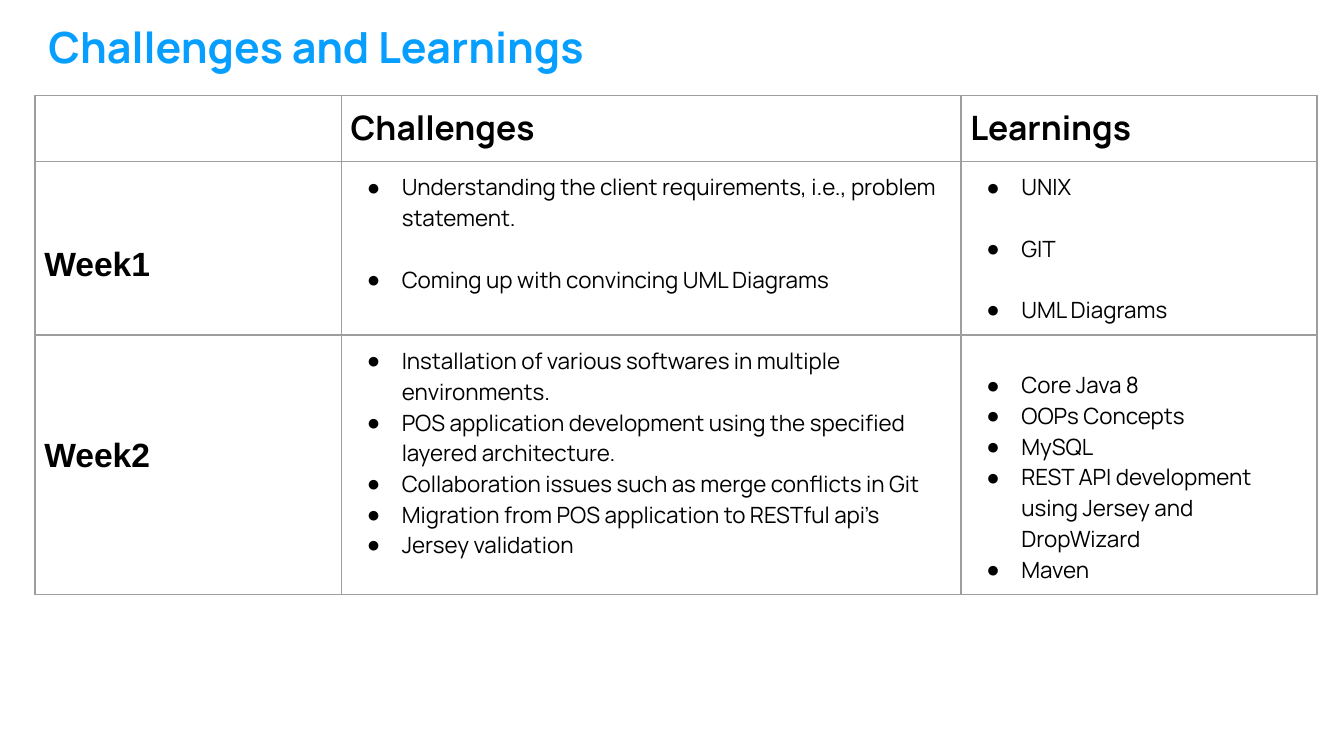
from dataclasses import dataclass

from lxml import etree
from pptx import Presentation
from pptx import util as u
from pptx.dml.color import RGBColor
from pptx.enum import text
from pptx.oxml import ns


@dataclass(frozen=True)
class Theme:
    title_color: str = "079FFF"
    text_color: str = "000000"
    border_color: str = "9E9E9E"
    background: str = "FFFFFF"
    main_font: str = "Manrope"
    label_font: str = "Arial"
    title_size: int = 23
    heading_size: int = 18
    body_size: int = 12
    border_width: float = 0.75
    cell_margin: float = 0.07
    bullet_left: float = 0.38
    bullet_hang: float = 0.26


def add_element(parent, tag, **attributes):
    return etree.SubElement(parent, ns.qn(tag), attributes)


class SlideBuilder:
    def __init__(self, slide, theme):
        self.slide = slide
        self.theme = theme
        fill = slide.background.fill
        fill.solid()
        fill.fore_color.rgb = RGBColor.from_string(theme.background)

    def style(self, paragraph, size, color, font=None, bold=False):
        paragraph.alignment = text.PP_ALIGN.LEFT
        paragraph.font.name = font or self.theme.main_font
        paragraph.font.size = u.Pt(size)
        paragraph.font.bold = bold
        paragraph.font.color.rgb = RGBColor.from_string(color)

    def title(self, words, left, top, width, height):
        shape = self.slide.shapes.title
        shape.left, shape.top = u.Inches(left), u.Inches(top)
        shape.width, shape.height = u.Inches(width), u.Inches(height)
        frame = shape.text_frame
        frame.margin_left = frame.margin_right = 0
        frame.margin_top = frame.margin_bottom = 0
        frame.auto_size = text.MSO_AUTO_SIZE.NONE
        frame.vertical_anchor = text.MSO_ANCHOR.TOP
        frame.text = words
        self.style(frame.paragraphs[0], self.theme.title_size,
                   self.theme.title_color, bold=True)

    def table(self, left, top, columns, rows):
        frame = self.slide.shapes.add_table(
            len(rows), len(columns), u.Inches(left), u.Inches(top),
            u.Inches(sum(columns)), u.Inches(sum(rows)))
        table = frame.table
        table.first_row = table.horz_banding = False
        for column, width in zip(table.columns, columns):
            column.width = u.Inches(width)
        for row, height in zip(table.rows, rows):
            row.height = u.Inches(height)
        for cell in table.iter_cells():
            self.format_cell(cell)
        return table

    def format_cell(self, cell):
        margin = u.Inches(self.theme.cell_margin)
        cell.margin_left = cell.margin_right = margin
        cell.margin_top = cell.margin_bottom = margin
        cell.vertical_anchor = text.MSO_ANCHOR.TOP
        properties = cell._tc.get_or_add_tcPr()
        for side in ("a:lnL", "a:lnR", "a:lnT", "a:lnB"):
            line = add_element(properties, side,
                               w=str(u.Pt(self.theme.border_width)))
            fill = add_element(line, "a:solidFill")
            add_element(fill, "a:srgbClr", val=self.theme.border_color)
        cell.fill.background()

    def heading(self, cell, words, font=None, top=None):
        if top is not None:
            cell.margin_top = u.Inches(top)
        cell.text = words
        self.style(cell.text_frame.paragraphs[0], self.theme.heading_size,
                   self.theme.text_color, font, bold=True)

    def bullets(self, cell, items, top, gap):
        cell.margin_top = u.Inches(top)
        cell.text = "\n".join(items)
        for index, paragraph in enumerate(cell.text_frame.paragraphs):
            properties = paragraph._p.get_or_add_pPr()
            properties.set("marL", str(u.Inches(self.theme.bullet_left)))
            properties.set("indent", str(-u.Inches(self.theme.bullet_hang)))
            color = add_element(properties, "a:buClr")
            add_element(color, "a:srgbClr", val=self.theme.text_color)
            add_element(properties, "a:buFont", typeface=self.theme.label_font)
            add_element(properties, "a:buChar", char="●")
            paragraph.space_before = u.Pt(gap if index else 0)
            self.style(paragraph, self.theme.body_size, self.theme.text_color)


# Each week: label, label top margin, gap between bullets (points),
# then (top margin, items) for the challenges and the learnings
WEEKS = [
    ("Week1", 0.63, 16.5, [
        (0.08, ["Understanding the client requirements, i.e., problem statement.",
                "Coming up with convincing UML Diagrams"]),
        (0.08, ["UNIX", "GIT", "UML Diagrams"]),
    ]),
    ("Week2", 0.76, 0, [
        (0.08, ["Installation of various softwares in multiple environments.",
                "POS application development using the specified layered architecture.",
                "Collaboration issues such as merge conflicts in Git",
                "Migration from POS application to RESTful api’s",
                "Jersey validation"]),
        (0.26, ["Core Java 8", "OOPs Concepts", "MySQL",
                "REST API development using Jersey and DropWizard",
                "Maven"]),
    ]),
]


def main():
    # Widescreen slide, 16 by 9
    presentation = Presentation()
    presentation.slide_width = u.Inches(10)
    presentation.slide_height = u.Inches(10 * 9 / 16)
    theme = Theme()
    slide = presentation.slides.add_slide(presentation.slide_layouts[5])
    builder = SlideBuilder(slide, theme)

    # Title
    builder.title("Challenges and Learnings", 0.36, 0.15, 6.12, 0.42)

    # Table with its heading row
    table = builder.table(0.26, 0.71, [2.28, 4.61, 2.65], [0.49, 1.29, 1.93])
    for column, words in enumerate(["Challenges", "Learnings"], start=1):
        builder.heading(table.cell(0, column), words)

    # One row for each week
    for row, (label, label_top, gap, lists) in enumerate(WEEKS, start=1):
        builder.heading(table.cell(row, 0), label, theme.label_font, label_top)
        for column, (top, items) in enumerate(lists, start=1):
            builder.bullets(table.cell(row, column), items, top, gap)

    presentation.save("out.pptx")


if __name__ == "__main__":
    main()
